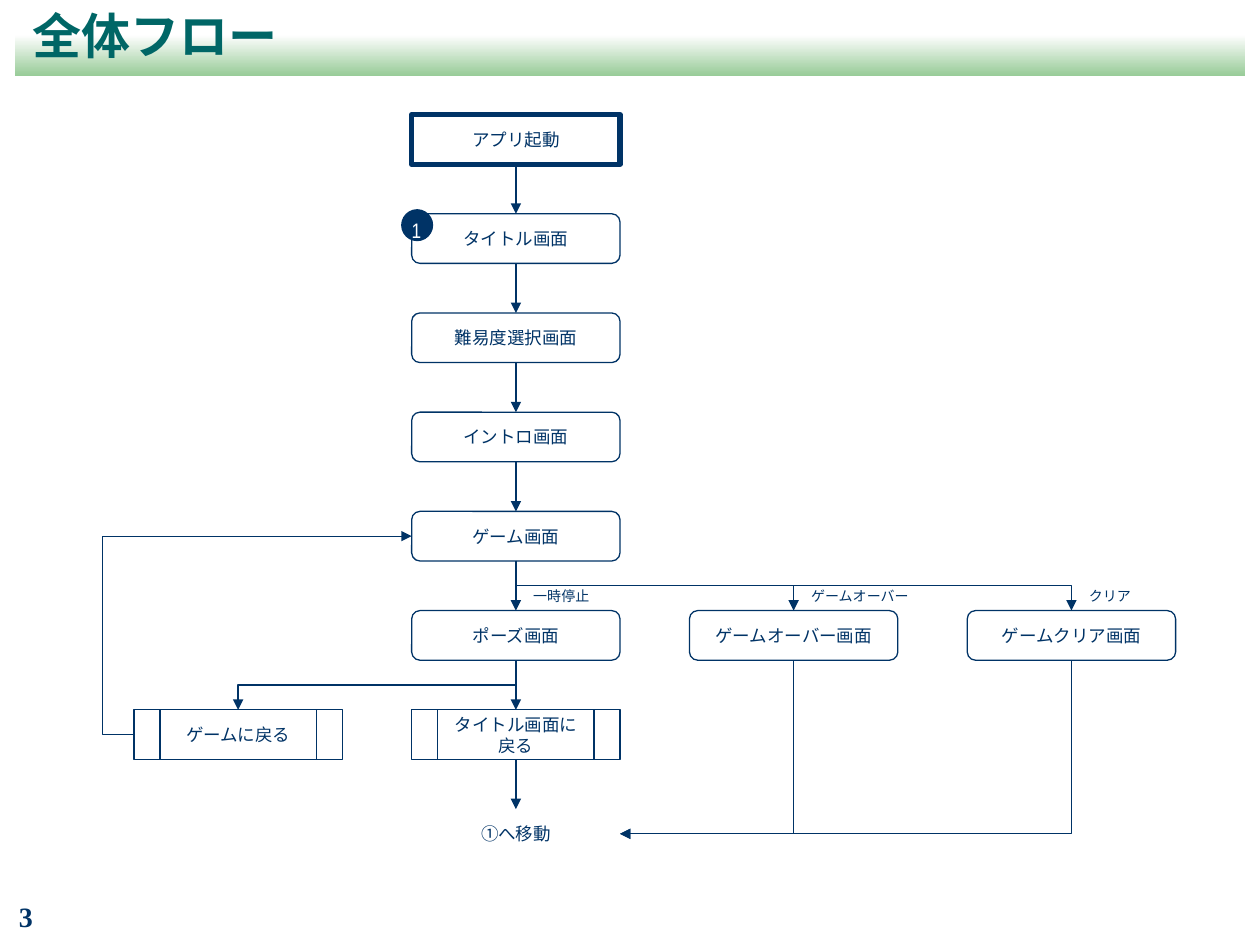
from dataclasses import dataclass

from lxml import etree
from pptx import Presentation
from pptx import util as u
from pptx.dml.color import RGBColor
from pptx.enum import shapes, text
from pptx.oxml.ns import qn

KIND = shapes.MSO_SHAPE
ALIGN = text.PP_ALIGN
ANCHOR = text.MSO_ANCHOR
TOP, LEFT, BOTTOM, RIGHT = range(4)


@dataclass(frozen=True)
class Theme:
    ink: str = "003366"
    title: str = "006666"
    paper: str = "FFFFFF"
    band: tuple = ("FEFEFE", "99CC99")
    font: str = "Arial"
    badge_font: str = "Arial Narrow"
    number_font: str = "Times New Roman"
    title_size: float = 28
    number_size: float = 16
    badge_size: float = 12
    box_size: float = 10
    note_size: float = 8
    thin: float = 0.75
    thick: float = 3


class FlowSlide:
    box_w, box_h = 4.2, 1.0
    left, top = 2.7, 2.31
    col_step, row_step = 5.6, 2.0

    def __init__(self, prs, theme):
        self.t = theme
        self.s = prs.slides.add_slide(prs.slide_layouts[5])

    def cell(self, col, row):
        return self.left + col * self.col_step, self.top + row * self.row_step

    def set_text(self, sp, content, size, color=None, font=None, bold=False,
                 align=ALIGN.LEFT, anchor=ANCHOR.TOP, wrap=True, before=0, spacing=1.0):
        tf = sp.text_frame
        tf.auto_size = text.MSO_AUTO_SIZE.NONE
        tf.word_wrap = wrap
        tf.vertical_anchor = anchor
        for i, line in enumerate(content.split("\n")):
            p = tf.add_paragraph() if i else tf.paragraphs[0]
            p.alignment = align
            p.space_before = u.Pt(before)
            p.line_spacing = spacing
            r = p.add_run()
            r.text = line
            r.font.size = u.Pt(size)
            r.font.name = font or self.t.font
            r.font.bold = bold
            r.font.color.rgb = RGBColor.from_string(color or self.t.ink)

    def shape(self, kind, x, y, w, h, fill=None, line=None):
        sp = self.s.shapes.add_shape(kind, u.Cm(x), u.Cm(y), u.Cm(w), u.Cm(h))
        sp.shadow.inherit = False
        if fill:
            sp.fill.solid()
            sp.fill.fore_color.rgb = RGBColor.from_string(fill)
        else:
            sp.fill.background()
        if line:
            sp.line.width = u.Pt(line)
            sp.line.color.rgb = RGBColor.from_string(self.t.ink)
        else:
            sp.line.fill.background()
        return sp

    def title(self, content):
        sp = self.s.shapes.title
        sp.left, sp.top, sp.width, sp.height = (u.Cm(v) for v in (0.4, 0.1, 21.42, 1.35))
        self.set_text(sp, content, self.t.title_size, self.t.title, bold=True,
                      anchor=ANCHOR.MIDDLE, spacing=0.9)

    def band(self):
        sp = self.shape(KIND.RECTANGLE, 0.3, 0.71, 24.8, 0.81)
        sp.fill.gradient()
        sp.fill.gradient_angle = 270
        for stop, color, position in zip(sp.fill.gradient_stops, self.t.band, (0, 1)):
            stop.color.rgb = RGBColor.from_string(color)
            stop.position = position
        self.s.shapes._spTree.insert(2, sp._element)

    def label(self, content, x, y, w, h, size, **style):
        sp = self.s.shapes.add_textbox(u.Cm(x), u.Cm(y), u.Cm(w), u.Cm(h))
        self.set_text(sp, content, size, **style)
        return sp

    def box(self, content, col, row, kind=KIND.ROUNDED_RECTANGLE, line=Theme.thin, filled=True):
        sp = self.shape(kind, *self.cell(col, row), self.box_w, self.box_h,
                        self.t.paper if filled else None, line)
        self.set_text(sp, content, self.t.box_size, align=ALIGN.CENTER,
                      anchor=ANCHOR.MIDDLE, wrap=False)
        return sp

    def branch_note(self, content, col, row, w):
        x, y = self.cell(col, row)
        self.label(content, x + 2.2, y - 0.6, w, 0.6, self.t.note_size, before=5)

    def badge(self, content, col, row):
        x, y = self.cell(col, row)
        disc = self.shape(KIND.OVAL, x - 0.2, y - 0.08, 0.62, 0.62, self.t.ink, self.t.thin)
        digit = self.label(content, x, y - 0.05, 0.16, 0.54, self.t.badge_size,
                           color=self.t.paper, font=self.t.badge_font, wrap=False)
        self.s.shapes.add_group_shape([disc, digit])

    def arrow(self, start, end, begin_site=BOTTOM, end_site=TOP,
              kind=shapes.MSO_CONNECTOR.STRAIGHT):
        c = self.s.shapes.add_connector(kind, 0, 0, 0, 0)
        c.begin_connect(start, begin_site)
        c.end_connect(end, end_site)
        c.line.width = u.Pt(self.t.thin)
        c.line.color.rgb = RGBColor.from_string(self.t.ink)
        ln = c._element.spPr.find(qn("a:ln"))
        etree.SubElement(ln, qn("a:tailEnd"), type="triangle")
        etree.SubElement(c._element.spPr, qn("a:effectLst"))
        return c

    def elbow(self, start, end, begin_site=BOTTOM, end_site=TOP, bend=None):
        c = self.arrow(start, end, begin_site, end_site, shapes.MSO_CONNECTOR.ELBOW)
        geom = c._element.spPr.find(qn("a:prstGeom"))
        if bend is not None:
            guides = geom.find(qn("a:avLst"))
            etree.SubElement(guides, qn("a:gd"), name="adj1", fmla=f"val {bend}")
        if begin_site == BOTTOM:
            self.turn_down(c)
        if end_site == RIGHT:
            geom.set("prst", "bentConnector2")

    def turn_down(self, c):
        dx, dy = c.end_x - c.begin_x, c.end_y - c.begin_y
        mid_x, mid_y = c.begin_x + dx // 2, c.begin_y + dy // 2
        c.left, c.top = mid_x - dy // 2, mid_y - abs(dx) // 2
        c.width, c.height = dy, abs(dx)
        xfrm = c._element.spPr.find(qn("a:xfrm"))
        for flip in ("flipH", "flipV"):
            xfrm.attrib.pop(flip, None)
        xfrm.set("rot", "16200000" if dx > 0 else "5400000")
        if dx > 0:
            xfrm.set("flipH", "1")


def main():
    prs = Presentation()
    prs.slide_width, prs.slide_height = u.Cm(25.4), u.Cm(19.05)
    t = Theme()
    flow = FlowSlide(prs, t)
    flow.title("全体フロー")
    flow.band()

    launch = flow.box("アプリ起動", 1, 0, KIND.FLOWCHART_PROCESS, t.thick)
    screens = ("タイトル画面", "難易度選択画面", "イントロ画面", "ゲーム画面", "ポーズ画面")
    column = [launch] + [flow.box(name, 1, row) for row, name in enumerate(screens, 1)]
    game, pause = column[-2:]
    over = flow.box("ゲームオーバー画面", 2, 5)
    clear = flow.box("ゲームクリア画面", 3, 5)
    resume = flow.box("ゲームに戻る", 0, 6, KIND.FLOWCHART_PREDEFINED_PROCESS)
    column.append(flow.box("タイトル画面に\n戻る", 1, 6, KIND.FLOWCHART_PREDEFINED_PROCESS))
    jump = flow.box("①へ移動", 1, 7, KIND.FLOWCHART_PROCESS, None, False)
    column.append(jump)

    for start, end in zip(column, column[1:]):
        flow.arrow(start, end)
    for outcome in (over, clear):
        flow.elbow(game, outcome)
        flow.elbow(outcome, jump, end_site=RIGHT)
    flow.elbow(pause, resume)
    flow.elbow(resume, game, LEFT, LEFT, bend=-11300)

    for col, (note, width) in enumerate((("一時停止", 2), ("ゲームオーバー", 3.4), ("クリア", 2)), 1):
        flow.branch_note(note, col, 5, width)
    flow.badge("1", 1, 1)
    flow.label("3", 0.13, 17.93, 1.57, 1, t.number_size, font=t.number_font,
               bold=True, anchor=ANCHOR.BOTTOM)
    prs.save("out.pptx")


if __name__ == "__main__":
    main()
